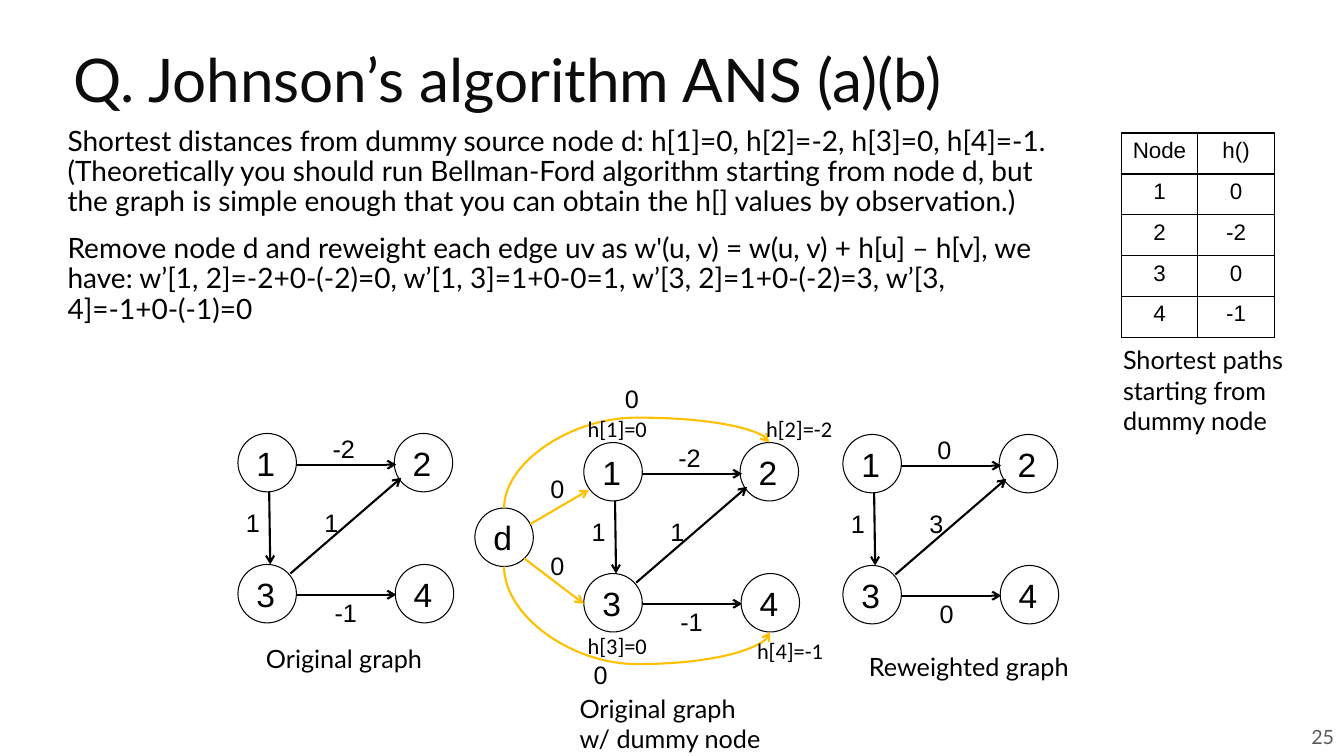
from lxml import etree
from pptx import Presentation
from pptx import util as u
from pptx.dml.color import RGBColor
from pptx.enum import shapes, text
from pptx.oxml import ns

PX = 9144
BLACK, GOLD = "000000", "FFC000"


def px(n):
    """Turn px into EMU."""
    return u.Emu(round(n * PX))


def rgb(h):
    """Turn a hex string into a colour."""
    return RGBColor.from_string(h)


def child(parent, tag, **attrs):
    """Append an XML element such as a:tailEnd."""
    return etree.SubElement(parent, ns.qn(tag), attrs)


def add_run(p, t, size, font="Arial", color=BLACK):
    """Add one formatted run to a paragraph."""
    r = p.add_run()
    r.text = t
    r.font.size, r.font.name = u.Pt(size), font
    r.font.color.rgb = rgb(color)


def place(sp, x, y, w, h):
    """Move and size a shape."""
    sp.left, sp.top, sp.width, sp.height = px(x), px(y), px(w), px(h)


def add_label(s, x, y, w, h, lines, size=18, font="Arial", color=BLACK):
    """Add a text box with one paragraph per line."""
    tf = s.shapes.add_textbox(px(x), px(y), px(w), px(h)).text_frame
    tf.word_wrap = True
    for i, line in enumerate(lines):
        p = tf.add_paragraph() if i else tf.paragraphs[0]
        add_run(p, line, size, font, color)
    return tf


def add_node(s, x, y, name):
    """Add a round graph node."""
    sp = s.shapes.add_shape(shapes.MSO_SHAPE.OVAL, px(x), px(y), px(58), px(58))
    sp.shadow.inherit = False
    sp.fill.solid()
    sp.fill.fore_color.rgb = rgb("FFFFFF")
    sp.line.color.rgb = rgb(BLACK)
    sp.line.width = u.Pt(0.75)
    tf = sp.text_frame
    tf.word_wrap = False
    p = tf.paragraphs[0]
    p.alignment = text.PP_ALIGN.LEFT
    add_run(p, name, 24)


def add_arrow(s, x1, y1, x2, y2, color=BLACK, kind=shapes.MSO_CONNECTOR.STRAIGHT):
    """Add a connector with an open arrowhead at its end."""
    c = s.shapes.add_connector(kind, px(x1), px(y1), px(x2), px(y2))
    c.line.color.rgb = rgb(color)
    c.line.width = u.Pt(1.5)
    child(c.line._get_or_add_ln(), "a:tailEnd", type="arrow")
    child(c._element.spPr, "a:effectLst")
    return c


def add_arc(s, x1, y1, x2, y2, bend):
    """Add a gold curved arrow bulging past its end, up or down."""
    up = y2 < y1
    w, h = abs(y2 - y1), x2 - x1
    left, top = (x1 + x2 - w) / 2, (y1 + y2 - h) / 2
    ya, yb = (top + h, top) if up else (top, top + h)
    c = add_arrow(s, left + w, ya, left, yb, GOLD, shapes.MSO_CONNECTOR.CURVE)
    spPr = c._element.spPr
    spPr.find(ns.qn("a:xfrm")).set("rot", str((90 if up else 270) * 60000))
    av = spPr.find(ns.qn("a:prstGeom")).find(ns.qn("a:avLst"))
    child(av, "a:gd", name="adj1", fmla=f"val {round(bend * 100000)}")


def add_graph(s, x, y, w12, w13, w32, w34):
    """Add the four-node graph with its edge weights."""
    for name, dx, dy in (("1", 0, 0), ("2", 155, 0), ("3", 0, 130), ("4", 156, 130)):
        add_node(s, x + dx, y + dy, name)
    edges = ((58, 31, 157, 31, w12, 84, -5), (31, 58, 32, 130, w13, -2, 68),
             (52, 139, 162, 44, w32, 76, 68), (58, 160, 157, 160, w34, 86, 158))
    for x1, y1, x2, y2, weight, dx, dy in edges:
        add_arrow(s, x + x1, y + y1, x + x2, y + y2)
        add_label(s, x + dx, y + dy, 56 if weight == w12 else 44, 40, [weight])


def add_source(s):
    """Add dummy node d, its zero-weight edges and the h labels."""
    add_node(s, 471, 504, "d")
    add_arrow(s, 526, 520, 584, 486, GOLD)
    add_arrow(s, 520, 554, 579, 599, GOLD)
    add_arc(s, 500, 504, 763, 439, 1.38)
    add_arc(s, 500, 562, 764, 627, 1.49)
    for x, y in ((610, 375), (536, 465), (536, 541), (579, 649)):
        add_label(s, x, y, 27, 40, ["0"])
    for x, y, w, t in ((573, 407, 82, "h[1]=0"), (750, 407, 89, "h[2]=-2"),
                       (573, 622, 82, "h[3]=0"), (741, 627, 89, "h[4]=-1")):
        add_label(s, x, y, w, 37, [t], 16, "Calibri")


def add_grid(s, x, y, w, h, rows):
    """Add a plain table with black borders."""
    frame = s.shapes.add_table(len(rows), len(rows[0]), px(x), px(y), px(w), px(h))
    tbl = frame.table
    tbl.first_row = tbl.horz_banding = False
    for i, row in enumerate(rows):
        for j, t in enumerate(row):
            cell = tbl.cell(i, j)
            p = cell.text_frame.paragraphs[0]
            p.alignment = text.PP_ALIGN.CENTER
            add_run(p, t, 16)
            tcPr = cell._tc.get_or_add_tcPr()
            for side in ("L", "R", "T", "B"):
                ln = child(tcPr, f"a:ln{side}", w="12700")
                child(child(ln, "a:solidFill"), "a:srgbClr", val=BLACK)
            cell.fill.background()


def add_title(s, t):
    """Fill and place the title."""
    sp = s.shapes.title
    place(sp, 63, 29, 1223, 111)
    tf = sp.text_frame
    tf.vertical_anchor = text.MSO_ANCHOR.MIDDLE
    tf.auto_size = text.MSO_AUTO_SIZE.NONE
    p = tf.paragraphs[0]
    p.alignment = text.PP_ALIGN.LEFT
    p.line_spacing = 0.8
    add_run(p, t, 43, "Lato", "0C0C0C")


def add_body(s, paras):
    """Fill and place the body, without bullets."""
    sp = s.placeholders[1]
    place(sp, 55, 121, 996, 272)
    tf = sp.text_frame
    tf.auto_size = text.MSO_AUTO_SIZE.NONE
    tf.margin_left = tf.margin_right = tf.margin_top = tf.margin_bottom = px(5)
    for i, t in enumerate(paras):
        p = tf.add_paragraph() if i else tf.paragraphs[0]
        p.line_spacing, p.space_before = 0.9, u.Pt(12)
        pPr = p._p.get_or_add_pPr()
        pPr.set("marL", str(px(7)))
        pPr.set("indent", "0")
        child(pPr, "a:buNone")
        add_run(p, t, 20, "Lato")


def main():
    """Build the slide."""
    prs = Presentation()
    prs.slide_width, prs.slide_height = px(1333), px(750)
    s = prs.slides.add_slide(prs.slide_layouts[1])
    add_title(s, "Q. Johnson’s algorithm ANS (a)(b)")
    add_body(s, [
        "Shortest distances from dummy source node d: h[1]=0, h[2]=-2, h[3]=0, h[4]=-1. "
        "(Theoretically you should run Bellman-Ford algorithm starting from node d, but "
        "the graph is simple enough that you can obtain the h[] values by observation.)",
        "Remove node d and reweight each edge uv as w'(u, v) = w(u, v) + h[u] – h[v], "
        "we have: w’[1, 2]=-2+0-(-2)=0, w’[1, 3]=1+0-0=1, w’[3, 2]=1+0-(-2)=3, "
        "w’[3, 4]=-1+0-(-1)=0"])
    add_graph(s, 236, 430, "-2", "1", "1", "-1")
    add_graph(s, 579, 439, "-2", "1", "1", "-1")
    add_graph(s, 836, 431, "0", "1", "3", "0")
    add_source(s)
    for x, y, w, h, lines in (
            (254, 633, 186, 40, ["Original graph"]),
            (565, 683, 228, 71, ["Original graph", "w/ dummy node"]),
            (852, 641, 228, 40, ["Reweighted graph"]),
            (1104, 337, 186, 101, ["Shortest paths starting from dummy node"])):
        add_label(s, x, y, w, h, lines, font="Lato")
    add_grid(s, 1112, 132, 152, 203, [("Node", "h()"), ("1", "0"), ("2", "-2"),
                                      ("3", "0"), ("4", "-1")])
    tf = add_label(s, 1271, 709, 62, 43, ["25"], 14, "Lato", "595959")
    tf.vertical_anchor = text.MSO_ANCHOR.MIDDLE
    tf.margin_top = tf.margin_bottom = px(10)
    tf.paragraphs[0].alignment = text.PP_ALIGN.RIGHT
    prs.save("out.pptx")


if __name__ == "__main__":
    main()
